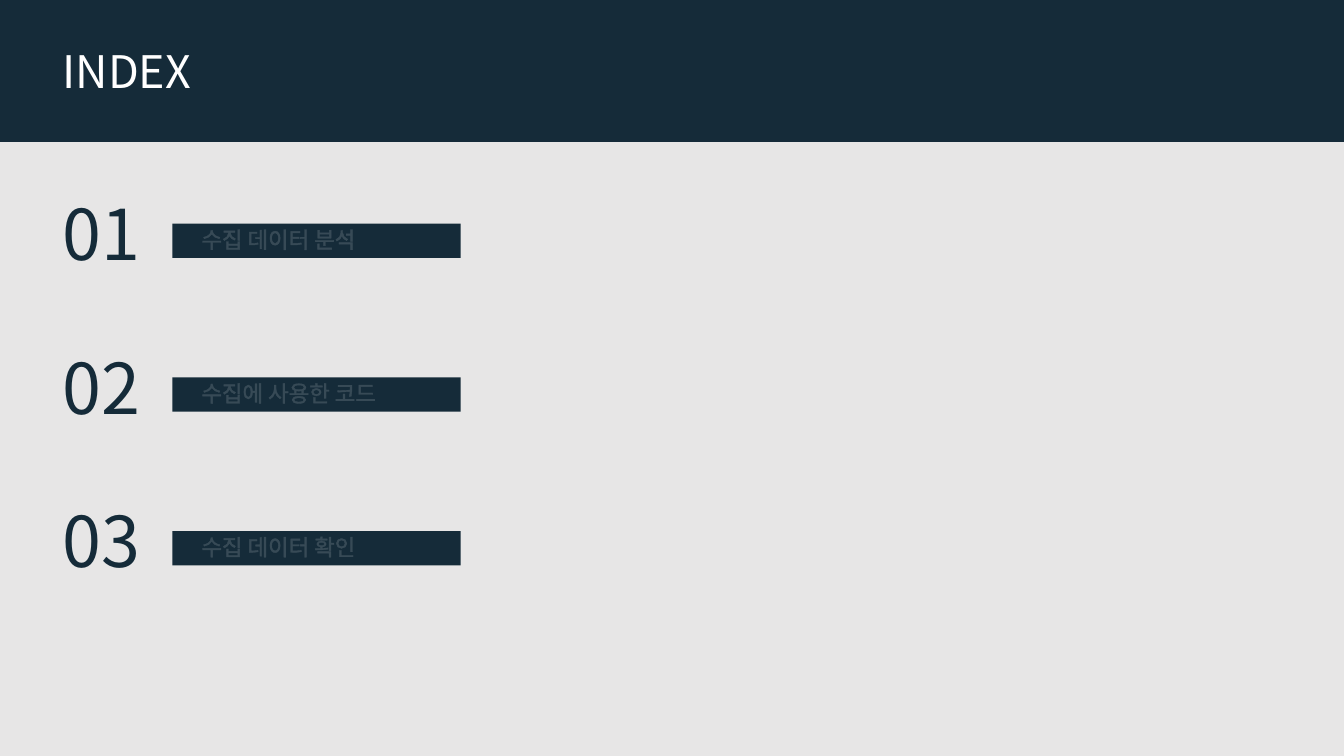
from dataclasses import dataclass

from lxml import etree
from pptx import Presentation
from pptx.dml.color import RGBColor
from pptx.enum.shapes import MSO_SHAPE
from pptx.enum.text import MSO_ANCHOR, MSO_AUTO_SIZE, PP_ALIGN
from pptx.oxml.ns import qn
from pptx.util import Inches, Pt

RECTANGLE = MSO_SHAPE.RECTANGLE
TOP = MSO_ANCHOR.TOP
LEFT = PP_ALIGN.LEFT
FIT_SHAPE = MSO_AUTO_SIZE.SHAPE_TO_FIT_TEXT
FONT = "Noto Sans CJK KR"
NAVY, GRAY, WHITE = "152B39", "E7E6E6", "FFFFFF"
TITLE_ONLY = 5
FIRST_TOP, ROW_STEP = 1.84, 1.525


@dataclass
class Entry:
    number: str
    label: str
    label_width: float


ENTRIES = [
    Entry("01", "수집 데이터 분석", 1.93),
    Entry("02", "수집에 사용한 코드", 2.15),
    Entry("03", "수집 데이터 확인", 1.93),
]


def rgb(value: str) -> RGBColor:
    return RGBColor.from_string(value)


def place(sp, left: float, top: float, width: float, height: float) -> None:
    sp.left, sp.top = Inches(left), Inches(top)
    sp.width, sp.height = Inches(width), Inches(height)


def write(sp, text: str, size: int, color: str):
    tf = sp.text_frame
    tf.word_wrap = False
    tf.auto_size = FIT_SHAPE
    tf.vertical_anchor = TOP
    p = tf.paragraphs[0]
    p.alignment = LEFT
    r = p.add_run()
    r.text = text
    r.font.size = Pt(size)
    r.font.name = FONT
    r.font.color.rgb = rgb(color)
    r_pr = r.font._element
    east_asian = etree.SubElement(r_pr, qn("a:ea"))
    east_asian.set("typeface", FONT)
    return r


def add_text(shapes, box: tuple, text: str, size: int, color: str):
    sp = shapes.add_textbox(0, 0, 0, 0)
    place(sp, *box)
    return write(sp, text, size, color)


def add_bar(shapes, box: tuple, color: str) -> None:
    sp = shapes.add_shape(RECTANGLE, 0, 0, 0, 0)
    place(sp, *box)
    sp.shadow.inherit = False
    sp.fill.solid()
    sp.fill.fore_color.rgb = rgb(color)
    sp.line.fill.background()


def outline(r, color: str, alpha: int) -> None:
    ln = etree.Element(qn("a:ln"), w=str(Pt(0.75)))
    fill = etree.SubElement(ln, qn("a:solidFill"))
    clr = etree.SubElement(fill, qn("a:srgbClr"), val=color)
    etree.SubElement(clr, qn("a:alpha"), val=str(alpha * 1000))
    r.font._element.insert(0, ln)


def add_entry(s, entry: Entry, top: float) -> None:
    shapes = s.shapes.add_group_shape().shapes
    add_text(shapes, (0.52, top, 0.99, 0.94), entry.number, 50, NAVY)
    add_bar(shapes, (1.71, top + 0.38, 2.86, 0.34), NAVY)
    label_box = (1.9, top + 0.35, entry.label_width, 0.37)
    outline(add_text(shapes, label_box, entry.label, 16, WHITE), WHITE, 15)


prs = Presentation()
prs.slide_width, prs.slide_height = Inches(13.33), Inches(7.5)
s = prs.slides.add_slide(prs.slide_layouts[TITLE_ONLY])
s.background.fill.solid()
s.background.fill.fore_color.rgb = rgb(NAVY)
add_bar(s.shapes, (0, 1.41, 13.33, 6.09), GRAY)
title = s.shapes.title
place(title, 0.52, 0.38, 1.52, 0.64)
write(title, "INDEX", 32, WHITE)
for row, entry in enumerate(ENTRIES):
    add_entry(s, entry, FIRST_TOP + row * ROW_STEP)
prs.save("out.pptx")
